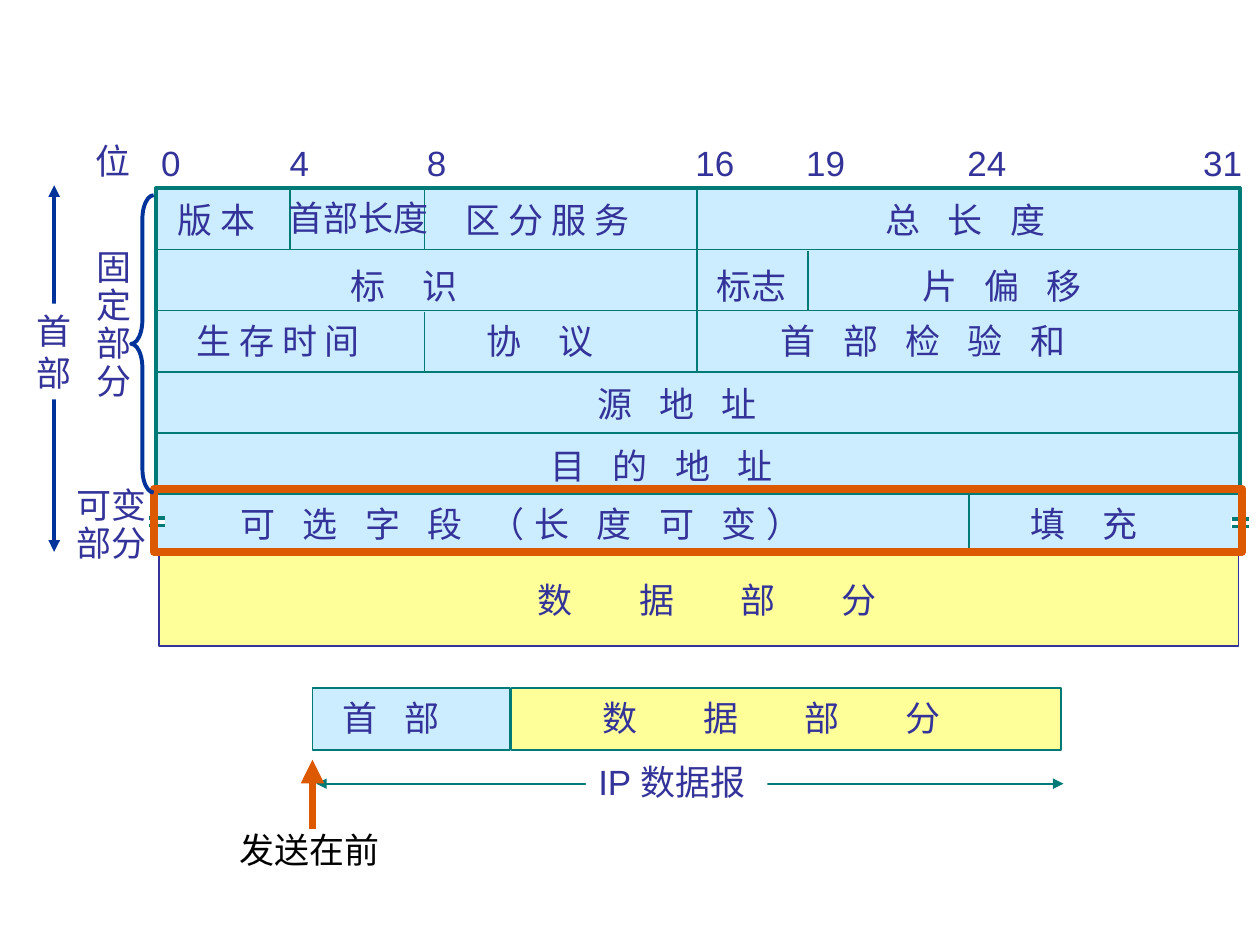
from lxml import etree
from pptx import Presentation
from pptx import util as u
from pptx.dml.color import RGBColor
from pptx.enum import shapes, text
from pptx.oxml import ns

COLORS = {
    "ink": "333399", "teal": "007A77", "navy": "003399", "orange": "DC5900",
    "blue": "CCECFF", "yellow": "FFFF99", "white": "FFFFFF", "black": "000000",
}
SPACE_PT = 5.56
LEFT, RIGHT, ROW_TOP, ROW_H = 1.24, 9.85, 1.98, 0.485


def rgb(name):
    return RGBColor.from_string(COLORS[name])


def add_box(s, x, y, w, h, fill=None, line=None, width=1,
            kind=shapes.MSO_SHAPE.RECTANGLE):
    sp = s.shapes.add_shape(kind, *map(u.Inches, (x, y, w, h)))
    sp.shadow.inherit = False
    if fill:
        sp.fill.solid()
        sp.fill.fore_color.rgb = rgb(fill)
    else:
        sp.fill.background()
    if line:
        sp.line.color.rgb = rgb(line)
        sp.line.width = u.Pt(width)
    else:
        sp.line.fill.background()
    return sp


def add_line(s, x1, y1, x2, y2, color="teal", width=1, ends=()):
    sp = s.shapes.add_connector(shapes.MSO_CONNECTOR.STRAIGHT,
                                *map(u.Inches, (x1, y1, x2, y2)))
    sp.line.color.rgb = rgb(color)
    sp.line.width = u.Pt(width)
    ln = sp.line._get_or_add_ln()
    for end in ends:
        etree.SubElement(ln, ns.qn(f"a:{end}"), type="triangle")
    etree.SubElement(sp._element.spPr, ns.qn("a:effectLst"))


def add_text(s, content, x, y, w, h=0.43, gap=1, font="Arial", color="ink",
             spacing=None, wrap=False, fill=None):
    sp = s.shapes.add_textbox(*map(u.Inches, (x, y, w, h)))
    if fill:
        sp.fill.solid()
        sp.fill.fore_color.rgb = rgb(fill)
    tf = sp.text_frame
    tf.word_wrap = wrap
    tf.auto_size = text.MSO_AUTO_SIZE.SHAPE_TO_FIT_TEXT
    for i, part in enumerate(content.split("\n")):
        p = tf.add_paragraph() if i else tf.paragraphs[0]
        if spacing:
            p.line_spacing = spacing
        r = p.add_run()
        r.text = part
        r.font.size = u.Pt(20)
        r.font.name = font
        r.font.color.rgb = rgb(color)
        if gap > 1:
            tracking = (gap - 1) * SPACE_PT / 2
            r.font._element.set("spc", str(round(tracking * 100)))


def add_break_mark(s, x, y):
    add_box(s, x, y, 0.14, 0.08, fill="white")
    for dy in (0.01, 0.07):
        add_line(s, x + 0.01, y + dy, x + 0.14, y + dy, width=2)


def add_header_grid(s):
    add_box(s, LEFT, 1.49, 8.6, 2.89, fill="blue", line="teal", width=2)
    add_box(s, 1.26, 4.39, 8.57, 0.74, fill="yellow", line="ink")
    for i in range(5):
        y = ROW_TOP + i * ROW_H
        add_line(s, LEFT, y, RIGHT, y)
    for x, top, bottom in [(2.3, 1.5, 1.98), (3.37, 1.5, 1.98),
                           (3.37, 2.48, 2.95), (5.53, 1.5, 2.95),
                           (7.69, 3.91, 4.4), (6.41, 1.99, 2.47)]:
        add_line(s, x, top, x, bottom)


def add_header_labels(s):
    add_text(s, "位", 0.66, 1.06, 0.48)
    for bit, x in [("0", 1.18), ("4", 2.2), ("8", 3.29), ("16", 5.42),
                   ("19", 6.3), ("24", 7.58), ("31", 9.45)]:
        add_text(s, bit, x, 1.07, 0.35 if len(bit) == 1 else 0.51)
    for label, x, y, w, gap in [
        ("版 本", 1.31, 1.53, 0.89, 1),
        ("首部长度", 2.19, 1.51, 1.31, 1),
        ("区 分 服 务", 3.6, 1.53, 1.73, 1),
        ("总 长 度", 6.93, 1.53, 1.87, 3),
        ("标 识", 2.68, 2.05, 1.31, 4),
        ("标志", 5.59, 2.05, 0.76, 1),
        ("片 偏 移", 7.22, 2.05, 1.87, 3),
        ("生 存 时 间", 1.46, 2.49, 1.73, 1),
        ("协 议", 3.76, 2.49, 1.31, 4),
        ("首 部 检 验 和", 6.1, 2.49, 3.26, 3),
        ("源 地 址", 4.64, 2.99, 1.87, 3),
        ("目 的 地 址", 4.27, 3.48, 2.56, 3),
        ("可 选 字 段 （长 度 可 变）", 1.81, 3.94, 5.76, 3),
        ("填 充", 8.08, 3.94, 1.31, 4),
    ]:
        add_text(s, label, x, y, w, gap=gap)
    add_text(s, "数 据 部 分", 4.17, 4.54, 3.18, gap=7, wrap=True)


def add_side_labels(s):
    add_line(s, 0.43, 1.47, 0.43, 4.38, "navy", 2.25, ("headEnd", "tailEnd"))
    add_text(s, "首\n部", 0.19, 2.41, 0.48, 0.76, fill="white")
    add_text(s, "固\n定\n部\n分", 0.67, 1.94, 0.48, 1.3, spacing=0.9)
    add_text(s, "可变\n部分", 0.51, 3.83, 0.76, 0.7, spacing=0.9)
    add_box(s, 1.22, 3.88, 8.64, 0.5, line="orange", width=4.5)
    brace = add_box(s, 1.04, 1.55, 0.18, 2.36, line="navy", width=2.25,
                    kind=shapes.MSO_SHAPE.LEFT_BRACE)
    brace.adjustments[0] = 1.05


def add_datagram(s):
    add_box(s, 2.48, 5.46, 1.57, 0.49, fill="blue", line="teal")
    add_box(s, 4.06, 5.46, 4.36, 0.49, fill="yellow", line="teal")
    add_text(s, "首 部", 2.62, 5.48, 1.17, gap=3)
    add_text(s, "数 据 部 分", 4.68, 5.48, 3.39, gap=7, wrap=True)
    add_line(s, 2.51, 6.22, 8.44, 6.22, ends=("headEnd", "tailEnd"))
    add_text(s, "IP 数据报", 4.65, 5.99, 1.44, fill="white")
    add_line(s, 2.48, 6.58, 2.48, 6.03, "orange", 4.5, ("tailEnd",))
    add_text(s, "发送在前", 1.8, 6.53, 1.31, font="Times New Roman",
             color="black")


def main():
    prs = Presentation()
    prs.slide_width, prs.slide_height = u.Inches(10), u.Inches(7.5)
    s = prs.slides.add_slide(prs.slide_layouts[6])
    add_header_grid(s)
    add_header_labels(s)
    add_break_mark(s, 1.17, 4.1)
    add_break_mark(s, 9.77, 4.11)
    add_side_labels(s)
    add_datagram(s)
    prs.save("out.pptx")


if __name__ == "__main__":
    main()
